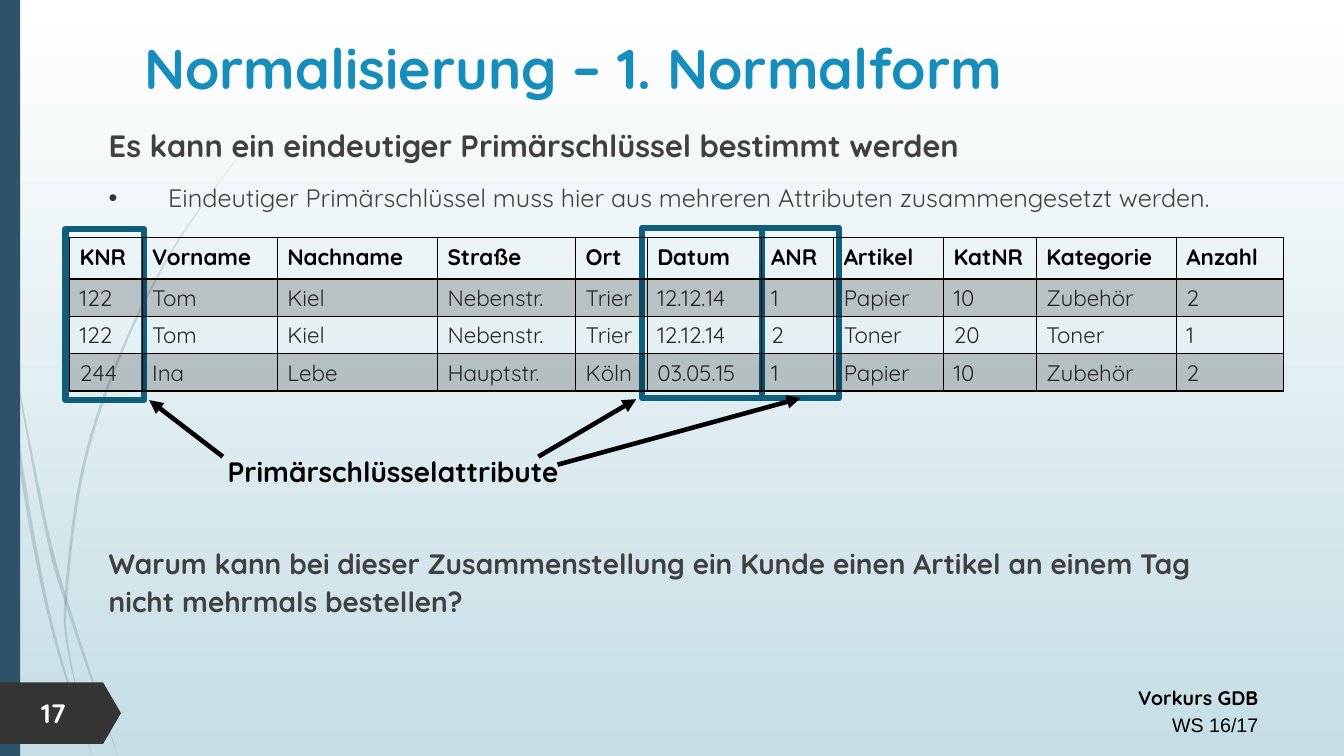
from dataclasses import dataclass
from math import pi, sin

from lxml import etree
from pptx import Presentation
from pptx.dml.color import RGBColor
from pptx.enum.shapes import MSO_CONNECTOR, MSO_SHAPE
from pptx.enum.text import MSO_ANCHOR, PP_ALIGN
from pptx.oxml.ns import qn
from pptx.util import Inches, Pt

RECT, TAG = MSO_SHAPE.RECTANGLE, MSO_SHAPE.PENTAGON
STRAIGHT = MSO_CONNECTOR.STRAIGHT
LEFT, CENTER, RIGHT = PP_ALIGN.LEFT, PP_ALIGN.CENTER, PP_ALIGN.RIGHT
TOP, MIDDLE = MSO_ANCHOR.TOP, MSO_ANCHOR.MIDDLE
FONT = "Quicksand"
NAVY, TEAL, BLUE = "2E5369", "0F5E7C", "178DBB"
BLACK, DARK, GREY, INK, WHITE = "000000", "353535", "404040", "262626", "FFFFFF"
STEPS = 8
Point = tuple[float, float]


@dataclass
class Box:
    x: float
    y: float
    w: float
    h: float

    def emu(self) -> list[int]:
        return [Inches(v) for v in (self.x, self.y, self.w, self.h)]


@dataclass
class Arrow:
    start: Point
    end: Point
    target: int | None = None


@dataclass
class Swoosh:
    width: float
    knots: list[Point]


SWOOSHES = [
    Swoosh(0.04, [(0, 2.9), (0.08, 3.5), (0.22, 4.7), (0.51, 6.2), (0.91, 7.5)]),
    Swoosh(0.04, [(0.12, 3.5), (0.45, 5.2), (0.66, 5.98), (1.17, 7.5)]),
    Swoosh(0.03, [(2.38, 1.53), (1.73, 2.45), (1.21, 3.48), (0.83, 4.62),
                  (0.66, 5.85), (0.68, 6.46), (0.92, 7.5)]),
]
KEY_FRAMES = [Box(0.65, 2.27, 0.78, 1.7), Box(6.37, 2.26, 1.19, 1.69), Box(7.56, 2.26, 0.76, 1.69)]
ARROWS = [
    Arrow((2.21, 4.53), (1.48, 3.97)),
    Arrow((5.53, 4.61), (7.94, 3.95), 2),
    Arrow((5.34, 4.53), (6.31, 3.96)),
]
COLUMNS = [0.72, 1.34, 1.59, 1.37, 0.71, 1.13, 0.72, 1.09, 0.92, 1.39, 1.06]
ROWS = [
    ["KNR", "Vorname", "Nachname", "Straße", "Ort", "Datum", "ANR", "Artikel", "KatNR", "Kategorie", "Anzahl"],
    ["122", "Tom", "Kiel", "Nebenstr.", "Trier", "12.12.14", "1", "Papier", "10", "Zubehör", "2"],
    ["122", "Tom", "Kiel", "Nebenstr.", "Trier", "12.12.14", "2", "Toner", "20", "Toner", "1"],
    ["244", "Ina", "Lebe", "Hauptstr.", "Köln", "03.05.15", "1", "Papier", "10", "Zubehör", "2"],
]


def rgb(value: str) -> RGBColor:
    return RGBColor.from_string(value)


def paint(fill, color: str, alpha: int = 100) -> None:
    fill.solid()
    fill.fore_color.rgb = rgb(color)
    if alpha < 100:
        clr = fill._xPr.find(qn("a:solidFill"))[0]
        etree.SubElement(clr, qn("a:alpha"), val=str(alpha * 1000))


def write(tf, text: str, *, size: float, color: str = BLACK, bold: bool = True, font: str = FONT,
          align: PP_ALIGN = LEFT, spacing: float | None = None, before: float = 0):
    p = tf.paragraphs[0] if not tf.text else tf.add_paragraph()
    p.alignment, p.line_spacing, p.space_before = align, spacing, Pt(before)
    r = p.add_run()
    r.text = text
    r.font.name, r.font.size, r.font.bold = font, Pt(size), bold
    r.font.color.rgb = rgb(color)
    return p


def text_frame(shapes, box: Box, anchor: MSO_ANCHOR = TOP):
    tf = shapes.add_textbox(*box.emu()).text_frame
    tf.word_wrap, tf.vertical_anchor = True, anchor
    return tf


def add_bullet(p, indent: float) -> None:
    pPr = p._p.get_or_add_pPr()
    pPr.set("marL", str(Inches(indent)))
    pPr.set("indent", str(-Inches(indent)))
    clr = etree.SubElement(pPr, qn("a:buClr"))
    etree.SubElement(clr, qn("a:srgbClr"), val=DARK)
    etree.SubElement(pPr, qn("a:buFont"), typeface="Arial")
    etree.SubElement(pPr, qn("a:buChar"), char="•")


def add_block(shapes, kind: MSO_SHAPE, box: Box, fill: str | None = None, line: str | None = None):
    sp = shapes.add_shape(kind, *box.emu())
    sp.shadow.inherit = False
    if fill:
        paint(sp.fill, fill)
    else:
        sp.fill.background()
    if line:
        sp.line.color.rgb, sp.line.width = rgb(line), Pt(4.5)
    else:
        sp.line.fill.background()
    return sp


def smooth(knots: list[Point]) -> list[Point]:
    ends = [knots[0], *knots, knots[-1]]
    curve = [knots[0]]
    for a, b, c, d in zip(ends, ends[1:], ends[2:], ends[3:]):
        for n in range(1, STEPS + 1):
            t = n / STEPS
            curve.append(tuple(
                q + (r - p) * t / 2 + (2 * p - 5 * q + 4 * r - u) * t ** 2 / 2 + (3 * q - p - 3 * r + u) * t ** 3 / 2
                for p, q, r, u in zip(a, b, c, d)))
    return curve


def add_swoosh(shapes, swoosh: Swoosh) -> None:
    curve = smooth(swoosh.knots)
    halves = [swoosh.width / 2 * sin(pi * i / (len(curve) - 1)) for i in range(len(curve))]
    left = [(Inches(x - half), Inches(y)) for (x, y), half in zip(curve, halves)]
    right = [(Inches(x + half), Inches(y)) for (x, y), half in zip(curve, halves)]
    builder = shapes.build_freeform(*left[0])
    builder.add_line_segments(left[1:] + right[::-1], close=True)
    sp = builder.convert_to_shape()
    sp.shadow.inherit = False
    paint(sp.fill, NAVY, 20)
    sp.line.fill.background()


def add_arrow(shapes, arrow: Arrow, frames: list) -> None:
    cx = shapes.add_connector(STRAIGHT, *(Inches(v) for v in arrow.start + arrow.end))
    cx.line.color.rgb, cx.line.width = rgb(BLACK), Pt(3.25)
    etree.SubElement(cx.line._get_or_add_ln(), qn("a:tailEnd"), type="triangle")
    etree.SubElement(cx._element.spPr, qn("a:effectLst"))
    if arrow.target is not None:
        cx.end_connect(frames[arrow.target], 2)


def add_borders(cell, bottom: float) -> None:
    tcPr = cell._tc.get_or_add_tcPr()
    for i, (side, width) in enumerate({"L": 1, "R": 1, "T": 1, "B": bottom}.items()):
        ln = etree.Element(qn(f"a:ln{side}"), w=str(Pt(width)))
        fill = etree.SubElement(ln, qn("a:solidFill"))
        etree.SubElement(fill, qn("a:srgbClr"), val=BLACK)
        tcPr.insert(i, ln)


def add_orders(shapes, box: Box) -> None:
    table = shapes.add_table(len(ROWS), len(COLUMNS), *box.emu()).table
    table.first_row = table.horz_banding = False
    for col, width in zip(table.columns, COLUMNS):
        col.width = Inches(width)
    for i, values in enumerate(ROWS):
        header = i == 0
        table.rows[i].height = Inches(0.41 if header else 0.37)
        for j, value in enumerate(values):
            cell = table.cell(i, j)
            cell.margin_top, cell.margin_bottom = Inches(0.05), Inches(0.04)
            write(cell.text_frame, value, size=16, color=BLACK if header else INK, bold=header)
            if i % 2:
                paint(cell.fill, BLACK, 20)
            else:
                cell.fill.background()
            add_borders(cell, 2 if header else 1)


def main() -> None:
    prs = Presentation()
    prs.slide_width, prs.slide_height = Inches(13.33), Inches(7.5)
    s = prs.slides.add_slide(prs.slide_layouts[6])
    bg = s.background.fill
    bg.gradient()
    bg.gradient_angle = 270
    for stop, color in zip(bg.gradient_stops, (WHITE, "C5DEE5")):
        stop.color.rgb = rgb(color)
    shapes = s.shapes
    for swoosh in SWOOSHES:
        add_swoosh(shapes, swoosh)
    add_block(shapes, RECT, Box(0, 0, 0.2, 7.5), fill=NAVY)
    footer = text_frame(shapes, Box(7.38, 6.72, 5.2, 0.64))
    write(footer, "Vorkurs GDB", size=14, align=RIGHT, spacing=1.14)
    write(footer, "WS 16/17", size=14, bold=False, font="Arial", align=RIGHT, spacing=1.14)
    add_block(shapes, TAG, Box(0, 6.77, 1.2, 0.61), fill=DARK).adjustments[0] = 0.29
    write(text_frame(shapes, Box(0.31, 6.86, 0.7, 0.42)), "17", size=19, color=WHITE)
    title = text_frame(shapes, Box(1.2, 0.26, 8.97, 0.81), MIDDLE)
    write(title, "Normalisierung – 1. Normalform", size=40, color=BLUE, align=CENTER)
    body = text_frame(shapes, Box(0.98, 1.16, 11.56, 5.86))
    write(body, "Es kann ein eindeutiger Primärschlüssel bestimmt werden",
          size=22, color=GREY, spacing=1.14, before=10)
    add_bullet(write(body, "Eindeutiger Primärschlüssel muss hier aus mehreren Attributen zusammengesetzt werden.",
                     size=18, color=GREY, bold=False, spacing=1.14, before=10), 0.59)
    write(body, "Warum kann bei dieser Zusammenstellung ein Kunde einen Artikel an einem Tag "
          "nicht mehrmals bestellen?", size=20, color=GREY, spacing=1.14, before=235)
    frames = [add_block(shapes, RECT, box, line=TEAL) for box in KEY_FRAMES]
    label = text_frame(shapes, Box(2.07, 4.46, 3.66, 0.44))
    write(label, "Primärschlüsselattribute", size=20, align=CENTER)
    for arrow in ARROWS:
        add_arrow(shapes, arrow, frames)
    add_orders(shapes, Box(0.69, 2.36, 12.04, 1.51))
    prs.save("out.pptx")


if __name__ == "__main__":
    main()
